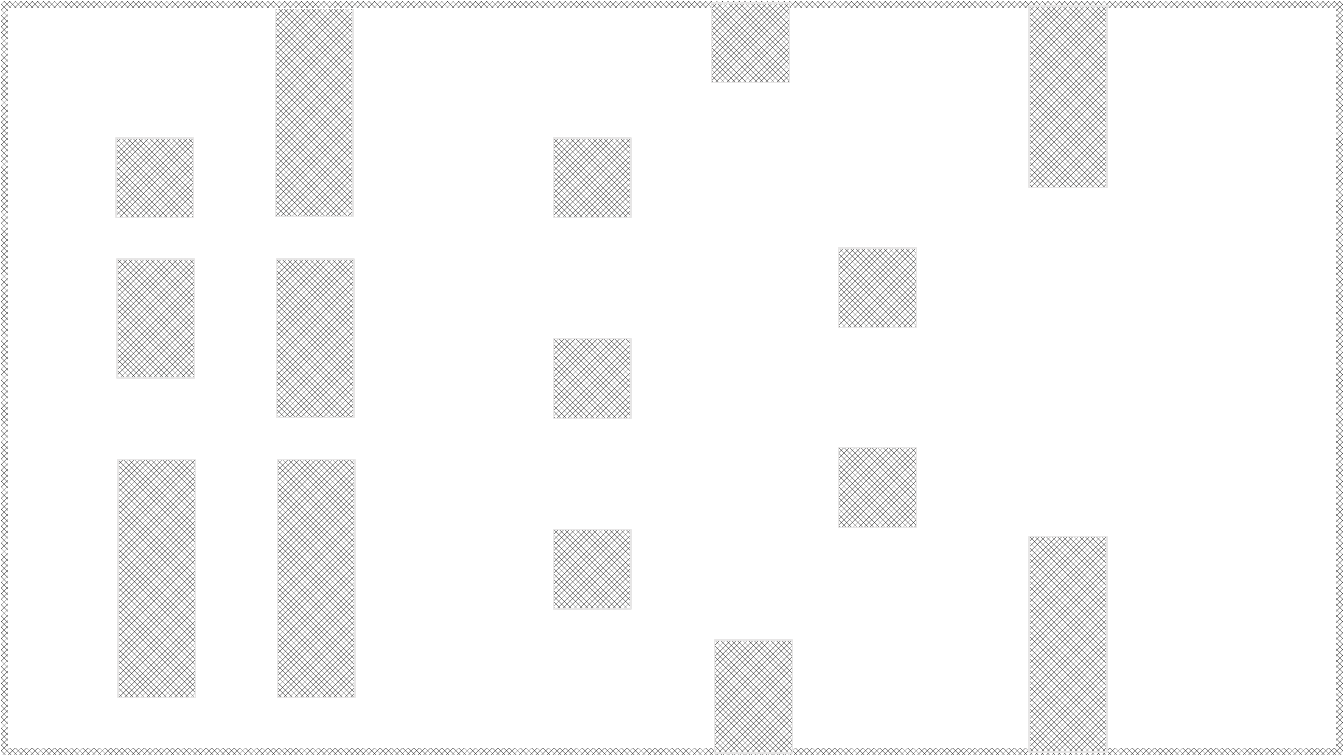
import dataclasses

import pptx
import pptx.dml.color
import pptx.enum.dml
import pptx.enum.shapes
import pptx.util

Pt = pptx.util.Pt
RGB = pptx.dml.color.RGBColor.from_string
SHAPE = pptx.enum.shapes.MSO_SHAPE


@dataclasses.dataclass(frozen=True)
class Theme:
    """Colours and line width of the floor plan."""

    ink: str = "000000"
    paper: str = "FFFFFF"
    block_edge: str = "E7E6E6"
    line_width: float = 1


class Plan:
    """Draws hatched walls and blocks on one slide."""

    def __init__(self, slide, theme):
        self.s = slide
        self.theme = theme

    def hatched(self, kind, x, y, w, h, edge):
        sp = self.s.shapes.add_shape(kind, Pt(x), Pt(y), Pt(w), Pt(h))
        sp.shadow.inherit = False
        sp.fill.patterned()
        sp.fill.pattern = pptx.enum.dml.MSO_PATTERN.LARGE_CHECKER_BOARD
        sp.fill.fore_color.rgb = RGB(self.theme.ink)
        sp.fill.back_color.rgb = RGB(self.theme.paper)
        sp.line.color.rgb = RGB(edge)
        sp.line.width = Pt(self.theme.line_width)
        return sp

    def block(self, x, y, h):
        sp = self.hatched(SHAPE.RECTANGLE, x, y, BLOCK_W, h, self.theme.block_edge)
        sp.rotation = 180

    def wall(self, w, h, thickness):
        sp = self.hatched(SHAPE.FRAME, 0, 0, w, h, self.theme.paper)
        sp.adjustments[0] = thickness


SLIDE_W, SLIDE_H = 960, 540
BLOCK_W, BLOCK_H = 55.5, 56.9
LEFT_BLOCKS = [
    (82.8, 98.6, BLOCK_H),
    (196.6, 0, 154.8),
    (395.3, 241.9, BLOCK_H),
    (395.3, 378, BLOCK_H),
    (395.3, 98.6, BLOCK_H),
    (83.5, 185, 85),
    (197.3, 185, 113),
    (84.2, 328.3, 170),
    (198, 328.3, 170),
]
RIGHT_BLOCKS = [
    (599, 177.1, BLOCK_H),
    (599, 319.7, BLOCK_H),
    (508.3, 2.2, BLOCK_H),
    (510.5, 457.2, 80.6),
    (735.1, 383, 154.1),
    (735.1, 4.3, 129.6),
]


def main():
    prs = pptx.Presentation()
    prs.slide_width, prs.slide_height = Pt(SLIDE_W), Pt(SLIDE_H)
    s = prs.slides.add_slide(prs.slide_layouts[6])
    theme = Theme()
    s.background.fill.solid()
    s.background.fill.fore_color.rgb = RGB(theme.paper)
    plan = Plan(s, theme)
    for x, y, h in LEFT_BLOCKS:
        plan.block(x, y, h)
    plan.wall(SLIDE_W, SLIDE_H, 0.011)
    for x, y, h in RIGHT_BLOCKS:
        plan.block(x, y, h)
    prs.save("out.pptx")


if __name__ == "__main__":
    main()
